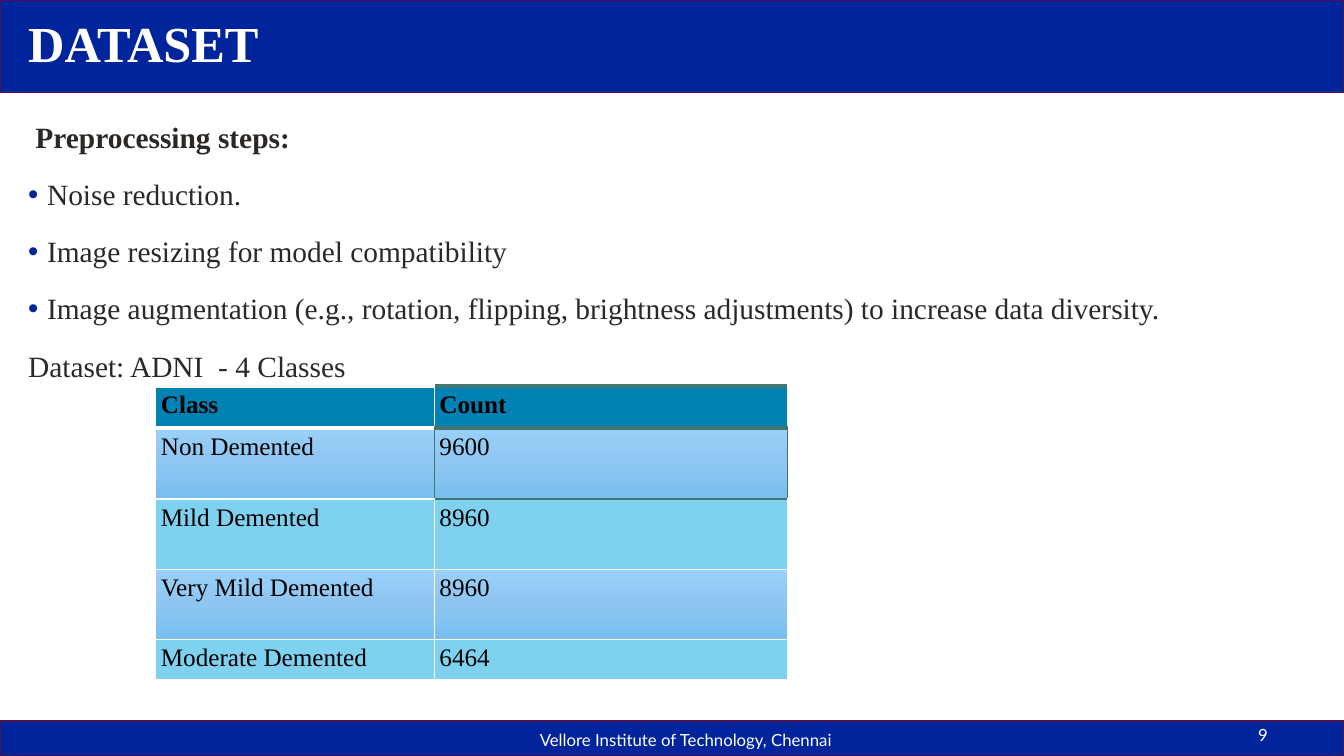
from lxml.etree import SubElement
from pptx import Presentation
from pptx.dml.color import RGBColor
from pptx.enum.shapes import MSO_SHAPE
from pptx.enum.text import MSO_ANCHOR
from pptx.oxml.ns import qn
from pptx.util import Pt

COLORS = {
    "blue": "00249C", "bar_line": "4F114F", "white": "FFFFFF", "body": "2C2825",
    "black": "000000", "header": "0082B4", "light": "7FD1F0", "accent": "447671",
}
GRADIENT = [(0, "9AD0FA"), (50, "8DC6F1"), (100, "78BFF0")]
SERIF, SANS = "Times New Roman", "Lato"
WIDTH, HEIGHT, INSET = 960, 540, 3.6

TITLE = "DATASET"
HEADING = "Preprocessing steps:"
STEPS = [
    "Noise reduction.",
    "Image resizing for model compatibility",
    "Image augmentation (e.g., rotation, flipping, brightness adjustments) to increase data diversity.",
]
DATASET = "Dataset: ADNI  - 4 Classes"
FOOTER, PAGE_NUMBER = "Vellore Institute of Technology, Chennai", "9"
CLASS_COUNTS = [
    ("Class", "Count"),
    ("Non Demented", "9600"),
    ("Mild Demented", "8960"),
    ("Very Mild Demented", "8960"),
    ("Moderate Demented", "6464"),
]
COLUMN_WIDTHS = [199, 252]
ROW_HEIGHTS = [30, 50.6, 50.2, 50, 28.8]

# Borders that differ from thin white: (row, column) -> side -> (colour, width)
SPECIAL_BORDERS = {
    (0, 0): {"T": ("white", 3), "B": ("white", 3)},
    (0, 1): {"T": ("accent", 3), "B": ("accent", 3)},
    (1, 0): {"T": ("white", 3), "R": ("accent", 1)},
    (1, 1): {"L": ("accent", 1), "R": ("accent", 1), "T": ("accent", 3), "B": ("accent", 1)},
    (2, 1): {"T": ("accent", 1)},
}


def rgb(name):
    return RGBColor.from_string(COLORS[name])


def set_font(paragraph, name, size, color, bold=False):
    font = paragraph.font
    font.name, font.size, font.bold = name, Pt(size), bold
    font.color.rgb = rgb(color)


def add_bar(slide, top, height):
    bar = slide.shapes.add_shape(MSO_SHAPE.RECTANGLE, 0, Pt(top), Pt(WIDTH), Pt(height))
    bar.shadow.inherit = False
    bar.fill.solid()
    bar.fill.fore_color.rgb = rgb("blue")
    bar.line.color.rgb = rgb("bar_line")
    bar.line.width = Pt(1)


def add_text_frame(slide, left, top, width, height, anchor=MSO_ANCHOR.MIDDLE, wrap=True):
    box = slide.shapes.add_textbox(Pt(left), Pt(top), Pt(width), Pt(height))
    frame = box.text_frame
    frame.word_wrap = wrap
    frame.vertical_anchor = anchor
    frame.margin_left = frame.margin_right = Pt(INSET)
    frame.margin_top = frame.margin_bottom = Pt(INSET)
    return frame


def add_label(slide, text, box, name, size, bold=False, wrap=True):
    paragraph = add_text_frame(slide, *box, wrap=wrap).paragraphs[0]
    paragraph.text = text
    set_font(paragraph, name, size, "white", bold)
    return paragraph


def indent(paragraph, margin, first_line):
    properties = paragraph._p.get_or_add_pPr()
    properties.set("marL", str(Pt(margin)))
    properties.set("indent", str(Pt(first_line)))
    return properties


def add_bullet(paragraph):
    properties = indent(paragraph, 13.5, -13.5)
    bullet_color = SubElement(properties, qn("a:buClr"))
    SubElement(bullet_color, qn("a:srgbClr"), val=COLORS["blue"])
    SubElement(properties, qn("a:buFont"), typeface="Arial")
    SubElement(properties, qn("a:buChar"), char="•")


def add_body(slide):
    frame = add_text_frame(slide, 16.5, 69, 904, 417, MSO_ANCHOR.TOP)
    for index, text in enumerate([HEADING, *STEPS, DATASET]):
        paragraph = frame.paragraphs[0] if index == 0 else frame.add_paragraph()
        paragraph.text = text
        paragraph.line_spacing = 1.5
        if index == 0:
            indent(paragraph, 5.25, 0)
        else:
            paragraph.space_before = Pt(3)
        if text in STEPS:
            add_bullet(paragraph)
        set_font(paragraph, SERIF, 21, "body", bold=index == 0)


def set_borders(cell, special):
    properties = cell._tc.get_or_add_tcPr()
    for side in "LRTB":
        color, width = special.get(side, ("white", 1))
        line = SubElement(properties, qn(f"a:ln{side}"), w=str(Pt(width)), cmpd="sng")
        fill = SubElement(line, qn("a:solidFill"))
        SubElement(fill, qn("a:srgbClr"), val=COLORS[color])
        SubElement(line, qn("a:prstDash"), val="solid")


def set_gradient(cell):
    gradient = SubElement(cell._tc.get_or_add_tcPr(), qn("a:gradFill"))
    stops = SubElement(gradient, qn("a:gsLst"))
    for position, color in GRADIENT:
        stop = SubElement(stops, qn("a:gs"), pos=str(position * 1000))
        SubElement(stop, qn("a:srgbClr"), val=color)
    SubElement(gradient, qn("a:lin"), ang=str(90 * 60000), scaled="0")


def add_class_table(slide):
    table = slide.shapes.add_table(
        len(CLASS_COUNTS), len(COLUMN_WIDTHS), Pt(111.3), Pt(275.8),
        Pt(sum(COLUMN_WIDTHS)), Pt(sum(ROW_HEIGHTS))).table
    for column, width in zip(table.columns, COLUMN_WIDTHS):
        column.width = Pt(width)
    for row, height in zip(table.rows, ROW_HEIGHTS):
        row.height = Pt(height)
    for row, values in enumerate(CLASS_COUNTS):
        for column, value in enumerate(values):
            cell = table.cell(row, column)
            cell.margin_left = cell.margin_right = Pt(INSET)
            cell.margin_top = cell.margin_bottom = Pt(INSET)
            cell.text = value
            set_font(cell.text_frame.paragraphs[0], SERIF, 18, "black", bold=row == 0)
            set_borders(cell, SPECIAL_BORDERS.get((row, column), {}))
            if row % 2:
                set_gradient(cell)
            else:
                cell.fill.solid()
                cell.fill.fore_color.rgb = rgb("header" if row == 0 else "light")


def main():
    presentation = Presentation()
    presentation.slide_width, presentation.slide_height = Pt(WIDTH), Pt(HEIGHT)
    slide = presentation.slides.add_slide(presentation.slide_layouts[6])
    add_bar(slide, 0, 66)
    add_body(slide)
    add_bar(slide, 515, 25)
    add_label(slide, FOOTER, (382, 518, 235.5, 21), SANS, 12)
    add_label(slide, PAGE_NUMBER, (895, 514, 14.4, 21), SANS, 12, wrap=False)
    title = add_label(slide, TITLE, (16.5, 7, 774, 52), SERIF, 36, bold=True)
    title.line_spacing = 0.9
    add_class_table(slide)
    presentation.save("out.pptx")


if __name__ == "__main__":
    main()
